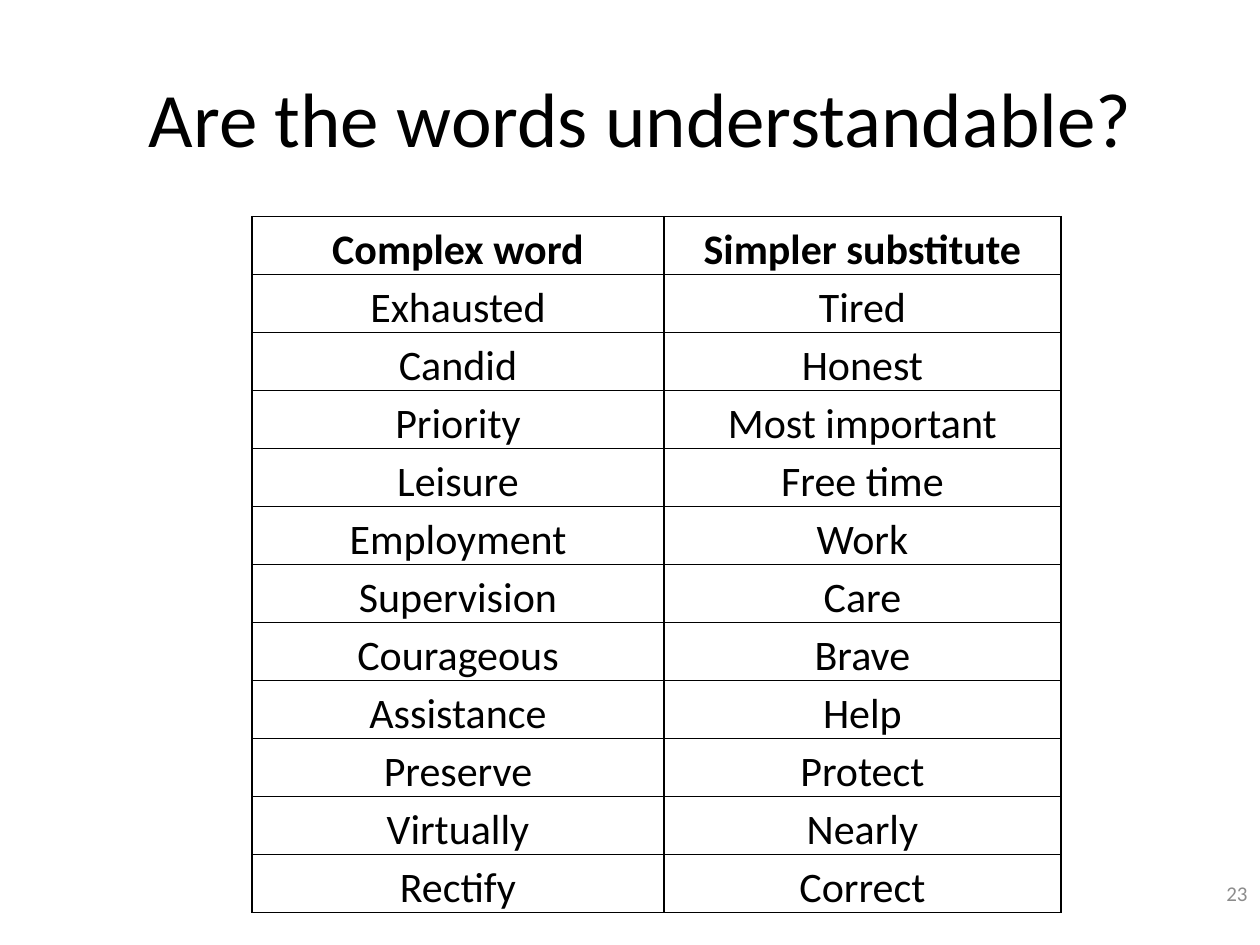
import dataclasses

import lxml.etree
import pptx
import pptx.dml.color
import pptx.enum.text
import pptx.oxml.ns
import pptx.util

Inches = pptx.util.Inches
Pt = pptx.util.Pt
Align = pptx.enum.text.PP_ALIGN
Anchor = pptx.enum.text.MSO_ANCHOR

WORD_PAIRS = [
    ("Complex word", "Simpler substitute"),
    ("Exhausted", "Tired"),
    ("Candid", "Honest"),
    ("Priority", "Most important"),
    ("Leisure", "Free time"),
    ("Employment", "Work"),
    ("Supervision", "Care"),
    ("Courageous", "Brave"),
    ("Assistance", "Help"),
    ("Preserve", "Protect"),
    ("Virtually", "Nearly"),
    ("Rectify", "Correct"),
]


@dataclasses.dataclass(frozen=True)
class Theme:
    font: str = "Calibri"
    ink: str = "000000"
    muted: str = "8C8C8C"
    title_size: int = 44
    table_size: int = 24
    number_size: int = 12
    border_width: int = 1
    line_spacing: float = 1.15


class SlideBuilder:
    def __init__(self, slide, theme):
        self.slide = slide
        self.theme = theme

    def add_text(self, frame, text, size, color, alignment, bold=False):
        paragraph = frame.paragraphs[0]
        paragraph.alignment = alignment
        run = paragraph.add_run()
        run.text = text
        run.font.name = self.theme.font
        run.font.size = Pt(size)
        run.font.bold = bold
        run.font.color.rgb = pptx.dml.color.RGBColor.from_string(color)
        return paragraph

    def title(self, text, left, top, width, height):
        shape = self.slide.shapes.title
        shape.left, shape.top, shape.width, shape.height = left, top, width, height
        shape.text_frame.vertical_anchor = Anchor.MIDDLE
        self.add_text(
            shape.text_frame, text, self.theme.title_size, self.theme.ink, Align.CENTER
        )

    def slide_number(self, text, left, top, width, height):
        frame = self.slide.shapes.add_textbox(left, top, width, height).text_frame
        frame.word_wrap = True
        frame.vertical_anchor = Anchor.MIDDLE
        self.add_text(frame, text, self.theme.number_size, self.theme.muted, Align.RIGHT)

    def table(self, rows, left, top, column_widths, row_height):
        """Add a plain ruled table whose first row is a bold header."""
        table = self.slide.shapes.add_table(
            len(rows), len(column_widths), left, top,
            sum(column_widths), row_height * len(rows),
        ).table
        table.horz_banding = False
        for column, width in zip(table.columns, column_widths):
            column.width = width
        for row_index, words in enumerate(rows):
            table.rows[row_index].height = row_height
            for column_index, word in enumerate(words):
                self.cell(table.cell(row_index, column_index), word, row_index == 0)

    def cell(self, cell, text, bold):
        cell.margin_left = cell.margin_right = Inches(0.07)
        cell.margin_top = cell.margin_bottom = 0
        paragraph = self.add_text(
            cell.text_frame, text, self.theme.table_size, self.theme.ink, Align.CENTER, bold
        )
        paragraph.line_spacing = self.theme.line_spacing
        self.borders(cell)
        cell.fill.background()

    def borders(self, cell):
        qn = pptx.oxml.ns.qn
        properties = cell._tc.get_or_add_tcPr()
        for side in ("a:lnL", "a:lnR", "a:lnT", "a:lnB"):
            line = lxml.etree.SubElement(
                properties, qn(side), w=str(Pt(self.theme.border_width))
            )
            fill = lxml.etree.SubElement(line, qn("a:solidFill"))
            lxml.etree.SubElement(fill, qn("a:srgbClr"), val=self.theme.ink)


def main():
    presentation = pptx.Presentation()
    presentation.slide_width = Inches(10)
    presentation.slide_height = Inches(7.5)
    title_only = presentation.slide_layouts[5]
    builder = SlideBuilder(presentation.slides.add_slide(title_only), Theme())
    builder.title(
        "Are the words understandable?", Inches(0.5), Inches(0.3), Inches(9.17), Inches(1.25)
    )
    builder.slide_number("23", Inches(7.67), Inches(6.83), Inches(2.33), Inches(0.52))
    builder.table(
        WORD_PAIRS, Inches(2), Inches(1.72), [Inches(3.27), Inches(3.15)], Inches(0.42)
    )
    presentation.save("out.pptx")


if __name__ == "__main__":
    main()
